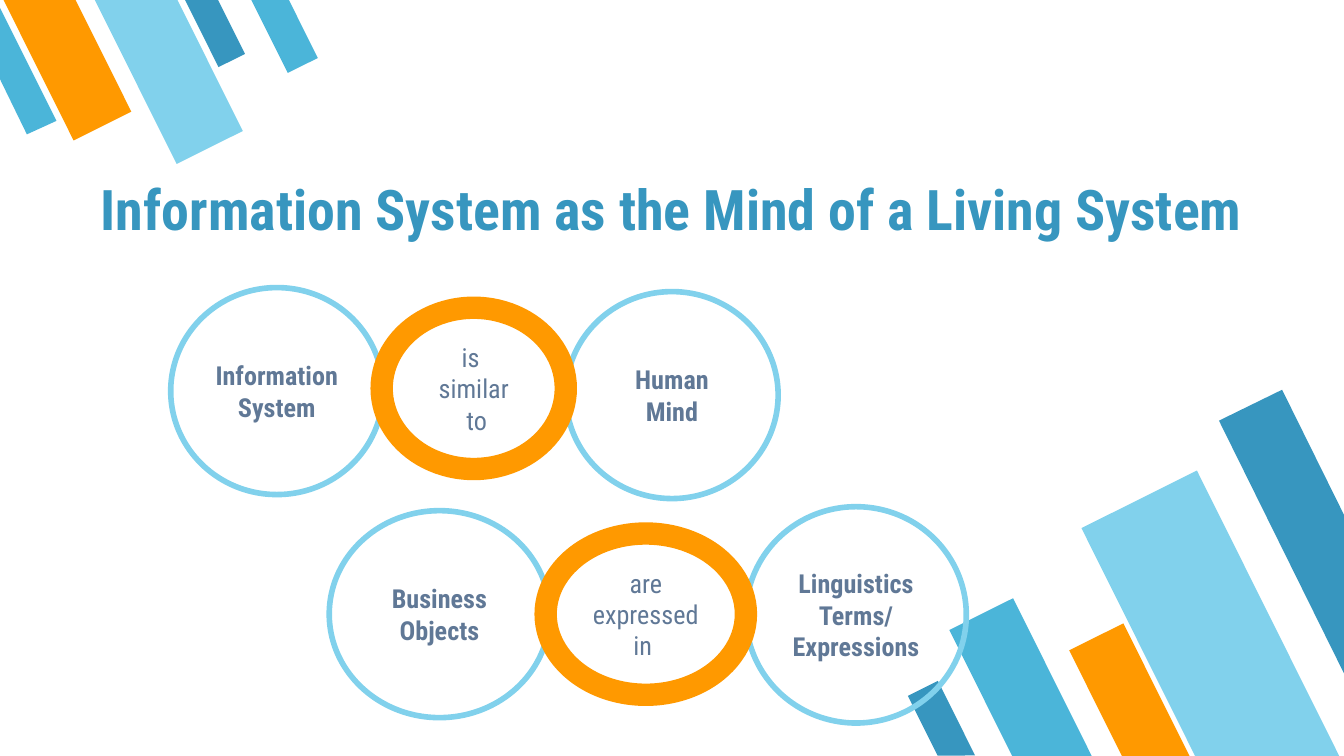
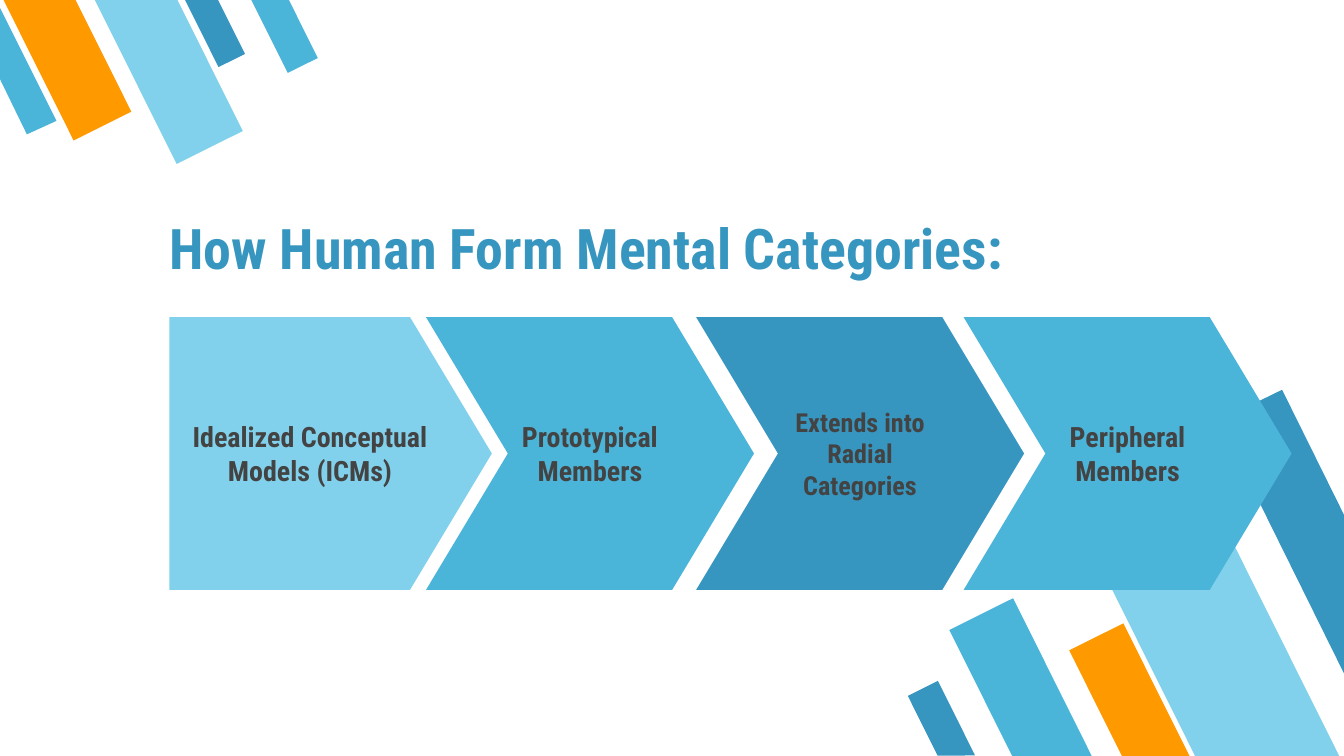
from pptx import Presentation
from pptx.dml.color import RGBColor
from pptx.enum.shapes import MSO_SHAPE
from pptx.enum.text import MSO_ANCHOR, MSO_AUTO_SIZE, PP_ALIGN
from pptx.util import Inches, Pt

# Shared style
FONT = "Roboto Condensed"
SKY = RGBColor(0x81, 0xD1, 0xEC)
AQUA = RGBColor(0x4B, 0xB5, 0xD9)
BLUE = RGBColor(0x37, 0x96, 0xBF)
ORANGE = RGBColor(0xFF, 0x99, 0x00)
SLATE = RGBColor(0x60, 0x78, 0x96)
CHARCOAL = RGBColor(0x43, 0x43, 0x43)

# Corner decoration: rotation, then bars as (left, top, width, height), colour
BAR_GROUPS = [
    (153.5, [
        ((7.33, 4.5, 0.53, 1.32), AQUA),
        ((8.53, 3.59, 0.96, 2.39), SKY),
        ((8.18, 4.68, 0.45, 1.11), ORANGE),
        ((6.88, 5.09, 0.25, 0.62), BLUE),
    ]),
    (333.5, [
        ((1.49, -0.08, 0.22, 0.56), BLUE),
        ((0.26, -0.18, 0.48, 1.18), ORANGE),
        ((0.98, -0.2, 0.55, 1.37), SKY),
        ((1.99, -0.1, 0.25, 0.62), AQUA),
    ]),
]
# Bars cut off by the slide edge, corners in inches
EDGE_BARS = [
    ([(9.54, 2.9), (9.07, 3.13), (10, 5.01), (10, 3.83)], BLUE),
    ([(0.2, 1), (0.42, 0.9), (0, 0.06), (0, 0.59)], AQUA),
]

# Slide 1: terms in thin circles, relations in thick orange rings
MIND_TITLE = ("Information System as the Mind of a Living System", (0.65, 1.16, 8.86, 0.74))
TERMS = [
    (["Information System"], (1.27, 2.14, 1.58, 1.54)),
    (["Human Mind"], (4.21, 2.17, 1.58, 1.54)),
    (["Business Objects"], (2.45, 3.8, 1.64, 1.54)),
    (["Linguistics Terms/", "Expressions"], (5.55, 3.77, 1.64, 1.61)),
]
RELATIONS = [
    (["is ", "similar", " to"], (2.84, 2.29, 1.37, 1.2)),
    (["are expressed in "], (4.06, 3.97, 1.49, 1.2)),
]

# Slide 2: text, left, width, preset, colour, text size
CATEGORY_TITLE = ("How Human Form Mental Categories:", (1.16, 1.45, 7.67, 0.74))
STEP_TOP, STEP_HEIGHT, STEP_POINT = 2.36, 2.03, 0.3
STEPS = [
    ("Idealized Conceptual Models (ICMs)", 1.26, 2.4, MSO_SHAPE.PENTAGON, SKY, 15),
    ("Prototypical Members", 3.17, 2.44, MSO_SHAPE.CHEVRON, AQUA, 15),
    ("Extends into Radial Categories", 5.18, 2.44, MSO_SHAPE.CHEVRON, BLUE, 14),
    ("Peripheral Members", 7.17, 2.44, MSO_SHAPE.CHEVRON, AQUA, 15),
]


def write_text(shape, lines, size, color, bold=True, align=PP_ALIGN.CENTER,
               anchor=MSO_ANCHOR.MIDDLE):
    frame = shape.text_frame
    frame.word_wrap = True
    frame.auto_size = MSO_AUTO_SIZE.NONE
    frame.vertical_anchor = anchor
    frame.margin_left = frame.margin_right = Inches(0.1)
    frame.margin_top = frame.margin_bottom = Inches(0.1)
    for index, line in enumerate(lines):
        paragraph = frame.paragraphs[0] if index == 0 else frame.add_paragraph()
        paragraph.alignment = align
        run = paragraph.add_run()
        run.text = line
        run.font.name = FONT
        run.font.size = Pt(size)
        run.font.bold = bold
        run.font.color.rgb = color


def paint(shape, fill=None, line=None, line_width=0):
    shape.shadow.inherit = False
    if fill is None:
        shape.fill.background()
    else:
        shape.fill.solid()
        shape.fill.fore_color.rgb = fill
    if line is None:
        shape.line.fill.background()
    else:
        shape.line.color.rgb = line
        shape.line.width = Pt(line_width)


def add_preset(slide, preset, box, **colors):
    shape = slide.shapes.add_shape(preset, *map(Inches, box))
    paint(shape, **colors)
    return shape


def add_edge_bar(slide, corners, color):
    # The builder rounds to whole units, so it works in hundredths of an inch
    points = [(round(x * 100), round(y * 100)) for x, y in corners]
    builder = slide.shapes.build_freeform(*points[0], scale=Inches(0.01))
    builder.add_line_segments(points[1:], close=True)
    paint(builder.convert_to_shape(), fill=color)


def add_decorated_slide(presentation, title_text, title_box):
    slide = presentation.slides.add_slide(presentation.slide_layouts[5])
    title = slide.shapes.title
    title.left, title.top, title.width, title.height = map(Inches, title_box)
    write_text(title, [title_text], 30, BLUE, align=PP_ALIGN.LEFT, anchor=MSO_ANCHOR.BOTTOM)
    for rotation, bars in BAR_GROUPS:
        for box, color in bars:
            bar = add_preset(slide, MSO_SHAPE.FLOWCHART_MANUAL_INPUT, box, fill=color)
            bar.rotation = rotation
            bar.element.spPr.xfrm.set("flipH", "1")
    for corners, color in EDGE_BARS:
        add_edge_bar(slide, corners, color)
    return slide


# Widescreen, 16 to 9
presentation = Presentation()
presentation.slide_width = Inches(10)
presentation.slide_height = Inches(10) * 9 // 16

# Slide 1: linked circles
slide = add_decorated_slide(presentation, *MIND_TITLE)
for circles, color, width, bold in [(TERMS, SKY, 3, True), (RELATIONS, ORANGE, 12, False)]:
    for lines, box in circles:
        circle = add_preset(slide, MSO_SHAPE.OVAL, box, line=color, line_width=width)
        write_text(circle, lines, 14, SLATE, bold=bold)

# Slide 2: process arrows
slide = add_decorated_slide(presentation, *CATEGORY_TITLE)
for text, left, width, preset, color, size in STEPS:
    step = add_preset(slide, preset, (left, STEP_TOP, width, STEP_HEIGHT), fill=color)
    step.adjustments[0] = STEP_POINT
    write_text(step, [text], size, CHARCOAL)

presentation.save("out.pptx")
